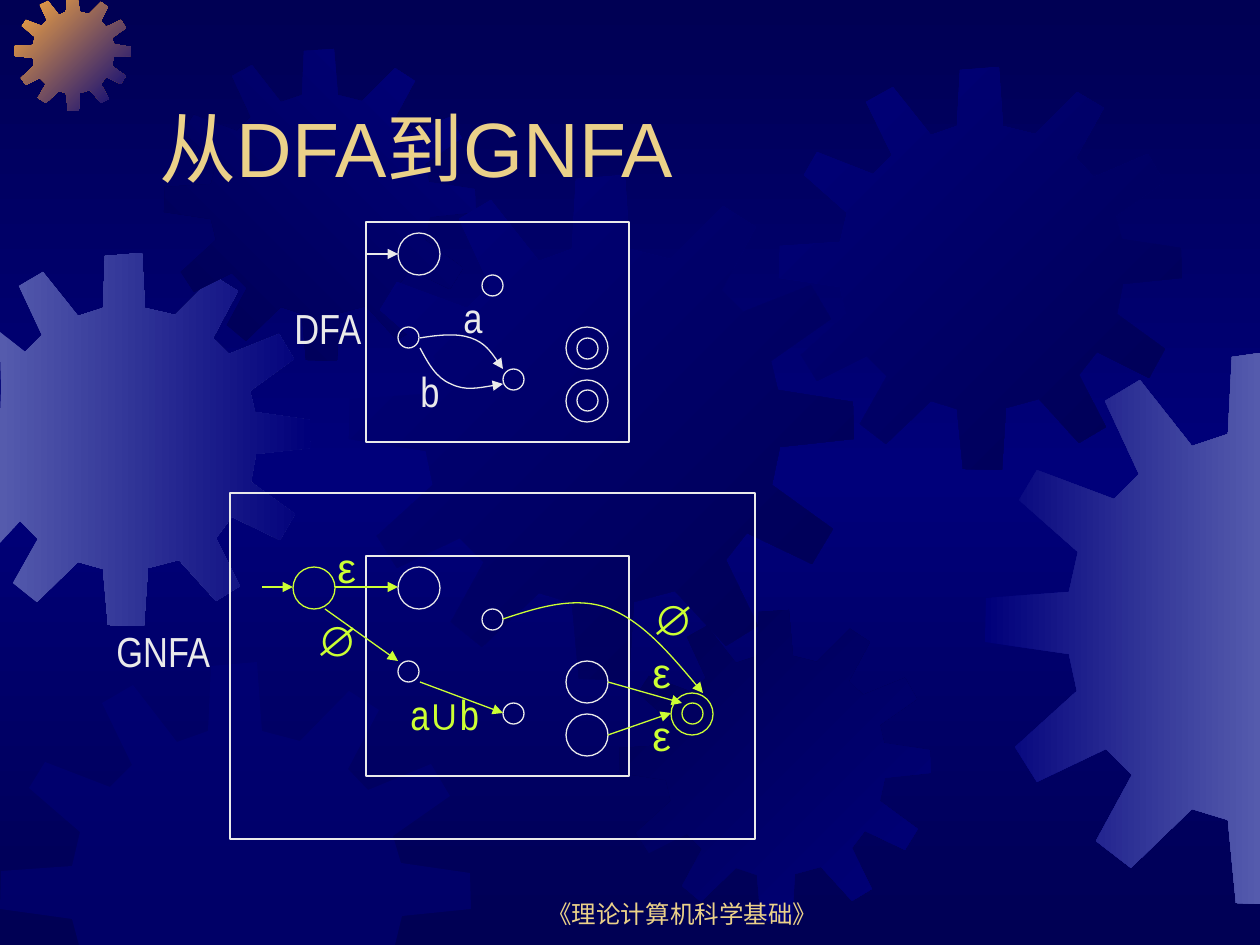
from copy import deepcopy
from lxml import etree
from pptx import Presentation
from pptx.dml.color import RGBColor
from pptx.enum.shapes import MSO_CONNECTOR, MSO_SHAPE
from pptx.enum.text import MSO_ANCHOR, MSO_AUTO_SIZE, PP_ALIGN
from pptx.oxml.ns import qn
from pptx.util import Emu, Pt

RECT, OVAL = MSO_SHAPE.RECTANGLE, MSO_SHAPE.OVAL
STRAIGHT = MSO_CONNECTOR.STRAIGHT
BOTTOM, TOP = MSO_ANCHOR.BOTTOM, MSO_ANCHOR.TOP
LEFT, CENTER = PP_ALIGN.LEFT, PP_ALIGN.CENTER
FIXED = MSO_AUTO_SIZE.NONE

DARK = RGBColor(0x00, 0x00, 0x54)
BLUE = RGBColor(0x00, 0x00, 0x7A)
STEEL = RGBColor(0x55, 0x5B, 0xAD)
AMBER = RGBColor(0xFC, 0xAB, 0x40)
GOLD = RGBColor(0xEB, 0xD1, 0x89)
PALE = RGBColor(0xEA, 0xEA, 0xEA)
LIME = RGBColor(0xCC, 0xFF, 0x33)

SCALE = 914400 / 126
WIDE, HIGH = 1260, 945
SANS, SLIM = "Arial", "Arial Narrow"


def px(*sizes):
    return [Emu(round(size * SCALE)) for size in sizes]


def write(shape, runs, size, color, align=LEFT, anchor=TOP):
    frame = shape.text_frame
    frame.word_wrap = True
    frame.auto_size = FIXED
    frame.vertical_anchor = anchor
    para = frame.paragraphs[0]
    para.alignment = align
    for text, face in runs:
        run = para.add_run()
        run.text = text
        run.font.name = face
        run.font.size = Pt(size)
        run.font.color.rgb = color


deck = Presentation()
deck.slide_width, deck.slide_height = px(WIDE, HIGH)
slide = deck.slides.add_slide(deck.slide_layouts[5])
shapes = slide.shapes

back = slide.background.fill
back.gradient()
back.gradient_angle = 270
for stop in back.gradient_stops:
    stop.color.rgb = DARK
stops = slide.background._cSld.find(".//" + qn("a:gsLst"))
middle = deepcopy(stops[0])
stops.insert(1, middle)
back.gradient_stops[1].position = 0.5
back.gradient_stops[1].color.rgb = BLUE

SPAN = 401
TEETH = [
    (255, 67), (223, 59), (219, 0), (180, 3), (177, 59), (151, 68),
    (113, 20), (87, 35), (112, 88), (94, 106), (38, 85), (25, 107),
    (68, 145), (61, 174), (1, 178), (0, 210), (61, 219), (67, 246),
    (22, 287), (38, 312), (88, 288), (107, 307), (81, 355), (106, 375),
    (151, 332), (177, 340), (183, 400), (222, 401), (226, 339), (259, 330),
    (299, 374), (325, 358), (299, 306), (316, 284), (368, 309), (384, 281),
    (336, 246), (342, 216), (401, 210), (400, 180), (341, 171), (335, 148),
    (383, 114), (367, 87), (313, 109), (296, 91), (323, 41), (297, 25),
]
GEARS = [
    (-62, 253, 373, STEEL, BLUE, 0),
    (15, -5, 116, AMBER, BLUE, 315),
    (164, 49, 312, DARK, BLUE, 45),
    (349, 175, 505, BLUE, DARK, 315),
    (0, 662, 471, BLUE, None, 0),
    (619, 610, 312, DARK, BLUE, 315),
    (779, 67, 403, BLUE, DARK, 315),
    (985, 353, 551, BLUE, STEEL, 0),
]
for left, top, size, start, end, angle in GEARS:
    rim = [
        (min(max(left + x * size / SPAN, 0), WIDE),
         min(max(top + y * size / SPAN, 0), HIGH))
        for x, y in TEETH
    ]
    path = shapes.build_freeform(*rim[0], scale=SCALE)
    path.add_line_segments(rim[1:], close=True)
    gear = path.convert_to_shape()
    gear.shadow.inherit = False
    gear.line.fill.background()
    if end is None:
        gear.fill.solid()
        gear.fill.fore_color.rgb = start
        tint = gear._element.spPr.find(".//" + qn("a:srgbClr"))
        etree.SubElement(tint, qn("a:alpha")).set("val", "50000")
    else:
        gear.fill.gradient()
        gear.fill.gradient_angle = angle
        for stop, color in zip(gear.fill.gradient_stops, (start, end)):
            stop.color.rgb = color

title = shapes.title
title.left, title.top, title.width, title.height = px(147, 42, 1071, 157)
write(title, [("从DFA到GNFA", SANS)], 44, GOLD, anchor=BOTTOM)
shapes._spTree.append(title._element)

foot = shapes.add_textbox(*px(483, 872, 399, 63))
write(foot, [("《理论计算机科学基础》", SANS)], 14, GOLD, CENTER, BOTTOM)

BIG, SMALL = 42, 21
forms = [(RECT, 230, 493, 525, 346, PALE)]
for down in (0, 334):
    forms.append((RECT, 366, 222 + down, 263, 220, PALE))
    for x, y, size in [
        (398, 233, BIG), (566, 327, BIG), (566, 380, BIG),
        (482, 275, SMALL), (398, 327, SMALL), (503, 369, SMALL),
    ]:
        forms.append((OVAL, x, y + down, size, size, PALE))
for x, y, size, color in [
    (577, 338, SMALL, PALE), (577, 390, SMALL, PALE),
    (293, 567, BIG, LIME), (671, 693, BIG, LIME), (682, 703, SMALL, LIME),
]:
    forms.append((OVAL, x, y, size, size, color))
for kind, x, y, width, height, color in forms:
    form = shapes.add_shape(kind, *px(x, y, width, height))
    form.shadow.inherit = False
    form.fill.background()
    form.line.color.rgb = color
    form.line.width = Pt(0.75)

arrows = []
for x1, y1, x2, y2, color in [
    (366, 254, 398, 254, PALE), (262, 587, 293, 587, LIME),
    (335, 587, 398, 587, LIME), (325, 609, 398, 661, LIME),
    (420, 682, 503, 713, LIME), (608, 682, 682, 703, LIME),
    (608, 735, 671, 713, LIME),
]:
    arrow = shapes.add_connector(STRAIGHT, *px(x1, y1, x2, y2))
    arrows.append((arrow, color))

CURVES = [
    ([(420, 338), (438, 335), (457, 333), (471, 338),
      (485, 343), (494, 356), (503, 369)], PALE),
    ([(420, 348), (428, 363), (436, 378), (451, 384),
      (465, 391), (484, 387), (503, 384)], PALE),
    ([(503, 619), (539, 607), (575, 596), (608, 608),
      (642, 621), (672, 656), (703, 693)], LIME),
]
for points, color in CURVES:
    path = shapes.build_freeform(*points[0], scale=SCALE)
    path.add_line_segments(points[1:], close=False)
    curve = path.convert_to_shape()
    curve.shadow.inherit = False
    curve.fill.background()
    route = curve._element.spPr.find(".//" + qn("a:path"))
    legs = route.findall(qn("a:lnTo"))
    for i in range(0, len(legs), 3):
        bend = etree.SubElement(route, qn("a:cubicBezTo"))
        for leg in legs[i:i + 3]:
            bend.append(leg[0])
            route.remove(leg)
    arrows.append((curve, color))

for arrow, color in arrows:
    arrow.line.color.rgb = color
    arrow.line.width = Pt(0.75)
    props = arrow._element.spPr
    etree.SubElement(props.find(qn("a:ln")), qn("a:tailEnd")).set("type", "triangle")
    if props.find(qn("a:effectLst")) is None:
        etree.SubElement(props, qn("a:effectLst"))

LABELS = [
    (282, 296, 105, [("DFA", SLIM)], PALE),
    (104, 619, 126, [("GNFA", SLIM)], PALE),
    (451, 285, 53, [("a", SLIM)], PALE),
    (408, 359, 53, [("b", SLIM)], PALE),
    (398, 682, 105, [("a", SLIM), ("∪", SANS), ("b", SLIM)], LIME),
    (325, 535, 63, [("ε", SANS)], LIME),
    (640, 640, 63, [("ε", SANS)], LIME),
    (640, 703, 63, [("ε", SANS)], LIME),
    (304, 608, 73, [("∅", SANS)], LIME),
    (640, 587, 73, [("∅", SANS)], LIME),
]
for x, y, width, runs, color in LABELS:
    label = shapes.add_textbox(*px(x, y, width, 63))
    write(label, runs, 24, color)

deck.save("out.pptx")
